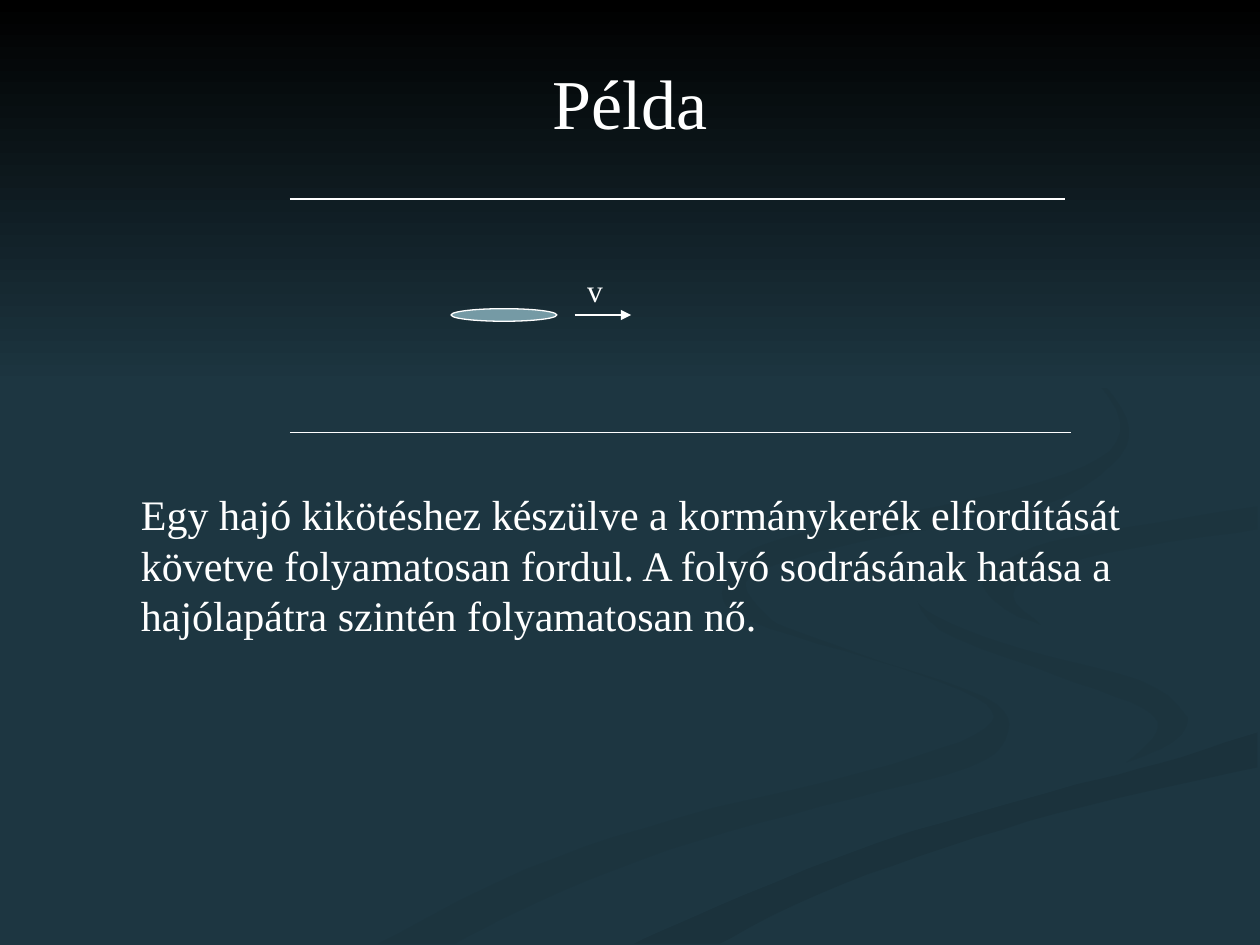
"""Build the river example slide: a moving boat between two banks."""
from lxml import etree
from pptx import Presentation
from pptx.dml.color import RGBColor
from pptx.enum.shapes import MSO_CONNECTOR, MSO_SHAPE
from pptx.enum.text import PP_ALIGN
from pptx.oxml.ns import qn
from pptx.util import Pt

PX = 9144
WIDTH, HEIGHT = 1000, 750
CURVE_STEPS = 5
WHITE = RGBColor(255, 255, 255)
BLACK = RGBColor(0, 0, 0)
NIGHT = RGBColor(0x1D, 0x36, 0x41)
SHADE = RGBColor(0x1C, 0x34, 0x3E)
DEEP = RGBColor(0x1B, 0x32, 0x3C)
BOAT = RGBColor(0x75, 0x9A, 0xA5)


def smooth(knots):
    """Return a Catmull-Rom curve that passes through every knot."""
    padded = [knots[0], *knots, knots[-1]]
    curve = []
    for before, start, end, after in zip(padded, padded[1:], padded[2:], padded[3:]):
        for step in range(CURVE_STEPS):
            t = step / CURVE_STEPS
            curve.append(tuple(
                round(b + (c - a) * t / 2 + (2 * a - 5 * b + 4 * c - d) * t**2 / 2
                      + (3 * b - a - 3 * c + d) * t**3 / 2)
                for a, b, c, d in zip(before, start, end, after)))
    return curve + [knots[-1]]


def add_outline(slide, points):
    builder = slide.shapes.build_freeform(*points[0], scale=PX)
    builder.add_line_segments(points[1:], close=True)
    shape = builder.convert_to_shape()
    shape.shadow.inherit = False
    shape.line.fill.background()
    return shape


presentation = Presentation()
presentation.slide_width = WIDTH * PX
presentation.slide_height = HEIGHT * PX
slide = presentation.slides.add_slide(presentation.slide_layouts[6])
slide.background.fill.solid()
slide.background.fill.fore_color.rgb = NIGHT

lower_bend = [
    [(575, 459), (576, 480), (611, 499), (714, 530), (783, 559), (774, 583),
     (684, 613), (539, 649), (417, 690), (300, 749)],
    [(361, 749), (431, 714), (532, 674), (651, 640), (769, 609), (800, 581),
     (781, 553), (682, 519), (594, 485), (575, 459)]]
right_bend = [
    [(724, 464), (745, 490), (811, 515), (905, 540), (943, 570), (932, 589), (894, 605)],
    [(894, 605), (918, 581), (907, 562), (838, 536), (746, 500), (724, 464)]]
lower_stream = [
    [(503, 749), (569, 719), (696, 669), (831, 629), (920, 606), (998, 581)],
    [(998, 609), (861, 640), (752, 672), (649, 710), (571, 749)]]
main_stream = [
    [(999, 387), (874, 408), (755, 432), (725, 464), (745, 490), (831, 519),
     (905, 540), (943, 570), (902, 603), (743, 643), (619, 684), (477, 749)],
    [(503, 749), (570, 719), (696, 669), (832, 629), (999, 581)],
    [(999, 538), (848, 503), (794, 480), (786, 453), (865, 424), (999, 402)]]
upper_stream = [
    [(998, 402), (898, 418), (821, 434), (781, 460), (797, 483), (826, 496)],
    [(826, 496), (805, 476), (816, 459), (878, 439), (998, 420)]]
upper_bend = [
    [(762, 233), (843, 275), (890, 324), (889, 362), (825, 402), (683, 430),
     (606, 452), (593, 470), (622, 500)],
    [(622, 500), (580, 474), (589, 441), (649, 420), (763, 398), (861, 370),
     (889, 335), (846, 279), (762, 233)]]

for edges, color in [
    (lower_bend, SHADE), (right_bend, SHADE), (lower_stream, DEEP),
    (main_stream, NIGHT), (upper_stream, SHADE), (upper_bend, SHADE),
]:
    swirl = add_outline(slide, [point for edge in edges for point in smooth(edge)])
    swirl.fill.solid()
    swirl.fill.fore_color.rgb = color

sky = add_outline(slide, [(0, 0), (0, 308), (WIDTH, 308), (WIDTH, 0)])
sky.fill.gradient()
sky.fill.gradient_angle = 270
for stop, color in zip(sky.fill.gradient_stops, (BLACK, NIGHT)):
    stop.color.rgb = color

boat = slide.shapes.add_shape(MSO_SHAPE.OVAL, 358 * PX, 245 * PX, 84 * PX, 10 * PX)
boat.shadow.inherit = False
boat.fill.solid()
boat.fill.fore_color.rgb = BOAT
boat.line.color.rgb = WHITE
boat.line.width = Pt(0.75)

upper_bank, velocity, lower_bank = (230, 845, 158), (456, 501, 250), (230, 850, 343)
for left, right, y in (upper_bank, velocity, lower_bank):
    connector = slide.shapes.add_connector(
        MSO_CONNECTOR.STRAIGHT, left * PX, y * PX, right * PX, y * PX)
    connector.line.color.rgb = WHITE
    connector.line.width = Pt(0.75)
    if (left, right, y) == velocity:
        etree.SubElement(connector.line._get_or_add_ln(), qn("a:tailEnd"), type="triangle")
    etree.SubElement(connector._element.spPr, qn("a:effectLst"))

title = "Példa"
velocity_label = "v"
body = ("Egy hajó kikötéshez készülve a kormánykerék elfordítását követve folyamatosan "
        "fordul. A folyó sodrásának hatása a hajólapátra szintén folyamatosan nő.")
for text, box, size, side, top, wrap, alignment in [
    (title, (150, 42, 700, 79), 40, 10, 5, True, PP_ALIGN.CENTER),
    (velocity_label, (466, 215, 10, 30), 18, 0, 0, False, PP_ALIGN.LEFT),
    (body, (102, 383, 798, 130), 24, 10, 5, True, PP_ALIGN.LEFT),
]:
    frame = slide.shapes.add_textbox(*[length * PX for length in box]).text_frame
    frame_format = {
        "margin_left": side * PX, "margin_right": side * PX,
        "margin_top": top * PX, "margin_bottom": top * PX, "word_wrap": wrap}
    for name, value in frame_format.items():
        setattr(frame, name, value)
    paragraph = frame.paragraphs[0]
    paragraph.alignment = alignment
    run = paragraph.add_run()
    run.text = text
    for name, value in {"name": "Times New Roman", "size": Pt(size)}.items():
        setattr(run.font, name, value)
    run.font.color.rgb = WHITE

presentation.save("out.pptx")
